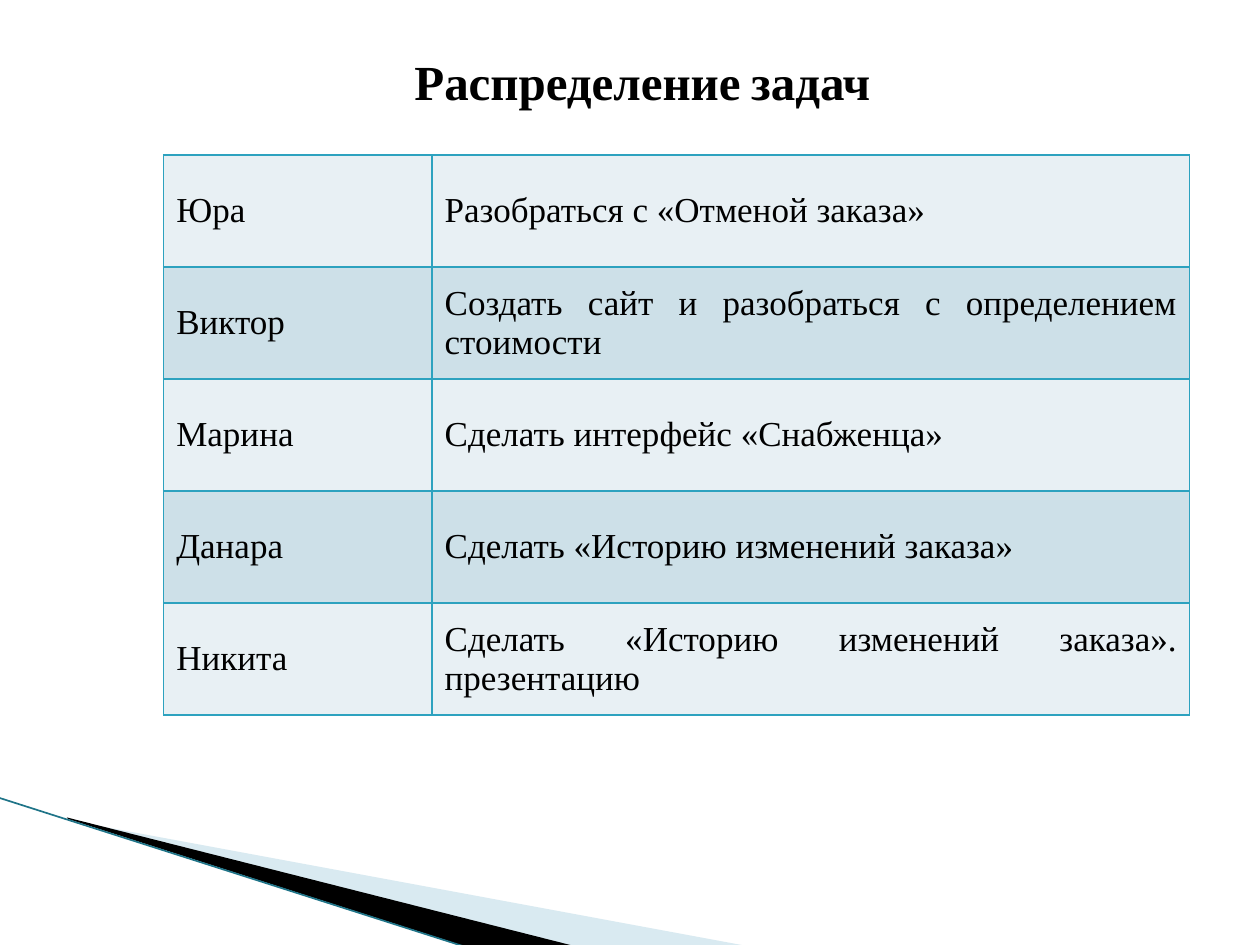
from dataclasses import dataclass

from lxml.etree import SubElement
from pptx import Presentation
from pptx.dml.color import RGBColor
from pptx.enum.text import MSO_ANCHOR, MSO_AUTO_SIZE, PP_ALIGN
from pptx.enum.shapes import MSO_CONNECTOR
from pptx.oxml.ns import qn
from pptx.util import Cm, Pt


@dataclass(frozen=True)
class Theme:
    font: str = "Times New Roman"
    text: str = "000000"
    border: str = "2DA2BF"
    bands: tuple = ("E8F0F4", "CDE0E8")
    pale_wedge: str = "A0CBDC"
    dark_wedge: str = "000000"
    edge: str = "1F7488"
    title_size: float = 28
    title_gap_size: float = 24
    body_size: float = 20
    border_width: float = 1
    edge_width: float = 0.95


class SlideBuilder:
    def __init__(self, slide, theme):
        self.slide = slide
        self.theme = theme

    def style(self, font, size, bold=False):
        font.name = self.theme.font
        font.size = Pt(size)
        font.bold = bold
        font.color.rgb = RGBColor.from_string(self.theme.text)

    def wedge(self, points, color, opacity=100):
        corners = [(Cm(x), Cm(y)) for x, y in points]
        builder = self.slide.shapes.build_freeform(*corners[0])
        builder.add_line_segments(corners[1:], close=True)
        shape = builder.convert_to_shape()
        shape.shadow.inherit = False
        shape.line.fill.background()
        shape.fill.solid()
        shape.fill.fore_color.rgb = RGBColor.from_string(color)
        if opacity < 100:
            color_element = next(shape.element.spPr.iter(qn("a:srgbClr")))
            SubElement(color_element, qn("a:alpha"), val=str(opacity * 1000))

    def line(self, start, end, color, width):
        connector = self.slide.shapes.add_connector(
            MSO_CONNECTOR.STRAIGHT, *map(Cm, start + end)
        )
        connector.line.color.rgb = RGBColor.from_string(color)
        connector.line.width = Pt(width)
        SubElement(connector.element.spPr, qn("a:effectLst"))

    def title(self, words, left, top, width, height):
        title = self.slide.shapes.title
        title.left, title.top = Cm(left), Cm(top)
        title.width, title.height = Cm(width), Cm(height)
        frame = title.text_frame
        frame.word_wrap = False
        frame.auto_size = MSO_AUTO_SIZE.SHAPE_TO_FIT_TEXT
        frame.vertical_anchor = MSO_ANCHOR.TOP
        paragraph = frame.paragraphs[0]
        paragraph.alignment = PP_ALIGN.LEFT
        first, last = words
        for text, size in (
            (first, self.theme.title_size),
            (" ", self.theme.title_gap_size),
            (last, self.theme.title_size),
        ):
            run = paragraph.add_run()
            run.text = text
            self.style(run.font, size, bold=True)

    def cell_borders(self, cell):
        properties = cell._tc.get_or_add_tcPr()
        for position, side in enumerate(("a:lnL", "a:lnR", "a:lnT", "a:lnB")):
            border = SubElement(
                properties, qn(side), w=str(Pt(self.theme.border_width))
            )
            fill = SubElement(border, qn("a:solidFill"))
            SubElement(fill, qn("a:srgbClr"), val=self.theme.border)
            properties.insert(position, border)

    def table(self, rows, left, top, column_widths, row_height):
        table = self.slide.shapes.add_table(
            len(rows), len(column_widths), Cm(left), Cm(top),
            Cm(sum(column_widths)), Cm(row_height * len(rows)),
        ).table
        table.first_row = False
        for column, width in zip(table.columns, column_widths):
            column.width = Cm(width)
        alignments = (PP_ALIGN.LEFT, PP_ALIGN.JUSTIFY)
        for row_index, texts in enumerate(rows):
            band = self.theme.bands[row_index % len(self.theme.bands)]
            for column_index, text in enumerate(texts):
                cell = table.cell(row_index, column_index)
                cell.text = text
                cell.vertical_anchor = MSO_ANCHOR.MIDDLE
                cell.fill.solid()
                cell.fill.fore_color.rgb = RGBColor.from_string(band)
                self.cell_borders(cell)
                paragraph = cell.text_frame.paragraphs[0]
                paragraph.alignment = alignments[column_index]
                self.style(paragraph.font, self.theme.body_size)


def main():
    presentation = Presentation()
    presentation.slide_width, presentation.slide_height = Cm(25.4), Cm(19.05)
    slide = presentation.slides.add_slide(presentation.slide_layouts[5])
    theme = Theme()
    builder = SlideBuilder(slide, theme)

    builder.wedge(
        [(1.4, 16.54), (15.11, 19.08), (11.58, 19.08), (1.4, 16.51)],
        theme.pale_wedge, opacity=40,
    )
    builder.wedge(
        [(1.35, 16.48), (11.61, 19.08), (9.45, 19.1), (1.37, 16.51)],
        theme.dark_wedge,
    )
    builder.line((-0.03, 16.08), (9.42, 19.1), theme.edge, theme.edge_width)

    tasks = [
        ("Юра", "Разобраться с «Отменой заказа»"),
        ("Виктор", "Создать сайт и разобраться с определением стоимости"),
        ("Марина", "Сделать интерфейс «Снабженца»"),
        ("Данара", "Сделать «Историю изменений заказа»"),
        ("Никита", "Сделать «Историю изменений заказа». презентацию"),
    ]
    builder.table(tasks, 3.3, 3.12, (5.41, 15.27), 2.26)
    builder.title(("Распределение", "задач"), 8.1, 0.91, 9.8, 1.45)

    presentation.save("out.pptx")


if __name__ == "__main__":
    main()
